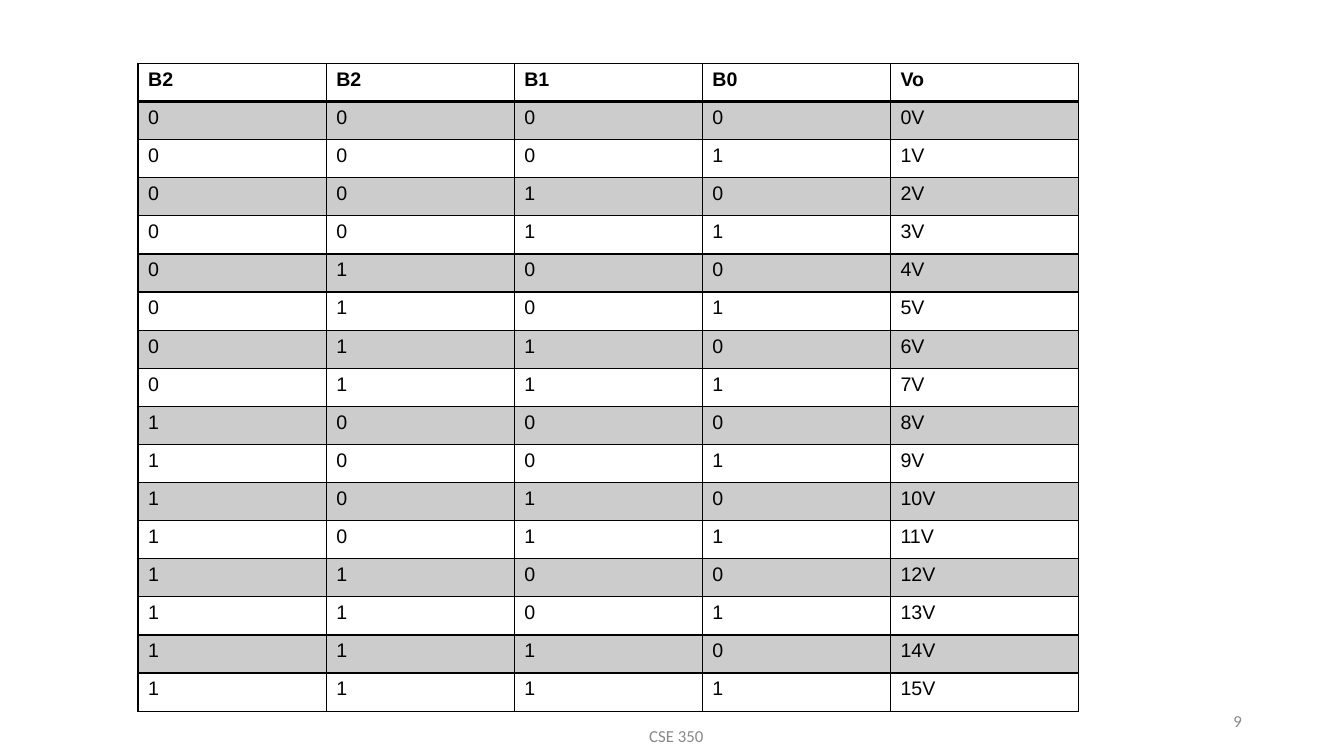
from dataclasses import dataclass

from lxml import etree
from pptx import Presentation
from pptx.dml.color import RGBColor
from pptx.enum.text import MSO_ANCHOR, PP_ALIGN
from pptx.oxml.ns import qn
from pptx.util import Cm, Pt

CENTER, RIGHT = PP_ALIGN.CENTER, PP_ALIGN.RIGHT
MIDDLE = MSO_ANCHOR.MIDDLE


@dataclass(frozen=True)
class Theme:
    ink: str = "000000"
    footer: str = "888888"
    band_opacity: int = 20
    table_font: str = "Arial"
    footer_font: str = "Calibri"
    table_size: int = 14
    footer_size: int = 12
    thin: int = 1
    thick: int = 2


theme = Theme()


def set_borders(cell, widths):
    """Draw solid cell borders; widths maps L, R, T, B to points."""
    properties = cell._tc.get_or_add_tcPr()
    for position, (side, width) in enumerate(widths.items()):
        line = etree.Element(qn(f"a:ln{side}"), w=str(Pt(width)))
        solid = etree.SubElement(line, qn("a:solidFill"))
        etree.SubElement(solid, qn("a:srgbClr"), val=theme.ink)
        properties.insert(position, line)


def add_footer(slide, text, left, top, width, align):
    box = slide.shapes.add_textbox(Cm(left), Cm(top), Cm(width), Cm(1.01))
    frame = box.text_frame
    frame.word_wrap = True
    frame.vertical_anchor = MIDDLE
    frame.text = text
    paragraph = frame.paragraphs[0]
    paragraph.alignment = align
    font = paragraph.runs[0].font
    font.name, font.size = theme.footer_font, Pt(theme.footer_size)
    font.color.rgb = RGBColor.from_string(theme.footer)


prs = Presentation()
prs.slide_width, prs.slide_height = Cm(33.87), Cm(19.05)
slide = prs.slides.add_slide(prs.slide_layouts[6])

add_footer(slide, "CSE 350", 11.33, 18.03, 11.43, CENTER)
add_footer(slide, "9", 23.93, 17.65, 7.62, RIGHT)

# Each row pairs a four-bit input with its output voltage.
truth_rows = [["B2", "B2", "B1", "B0", "Vo"]]
truth_rows += [[*f"{value:04b}", f"{value}V"] for value in range(16)]

column_width, row_height = Cm(4.74), Cm(0.96)
row_count, column_count = len(truth_rows), len(truth_rows[0])
truth_table = slide.shapes.add_table(
    row_count, column_count, Cm(3.48), Cm(1.6),
    column_width * column_count, row_height * row_count).table
truth_table.horz_banding = False
truth_table.first_row = True
for column in truth_table.columns:
    column.width = column_width

for row_index, values in enumerate(truth_rows):
    truth_table.rows[row_index].height = row_height
    is_header = row_index == 0
    for column_index, value in enumerate(values):
        cell = truth_table.cell(row_index, column_index)
        cell.text = value
        font = cell.text_frame.paragraphs[0].runs[0].font
        font.name, font.size = theme.table_font, Pt(theme.table_size)
        font.bold = is_header
        font.color.rgb = RGBColor.from_string(theme.ink)
        if row_index % 2:
            cell.fill.solid()
            cell.fill.fore_color.rgb = RGBColor.from_string(theme.ink)
            band_color = cell._tc.tcPr.find(f".//{qn('a:srgbClr')}")
            etree.SubElement(band_color, qn("a:alpha"),
                             val=str(theme.band_opacity * 1000))
        else:
            cell.fill.background()
        set_borders(cell, {
            "L": theme.thin,
            "R": theme.thin,
            "T": theme.thick if row_index == 1 else theme.thin,
            "B": theme.thick if is_header else theme.thin,
        })

prs.save("out.pptx")
